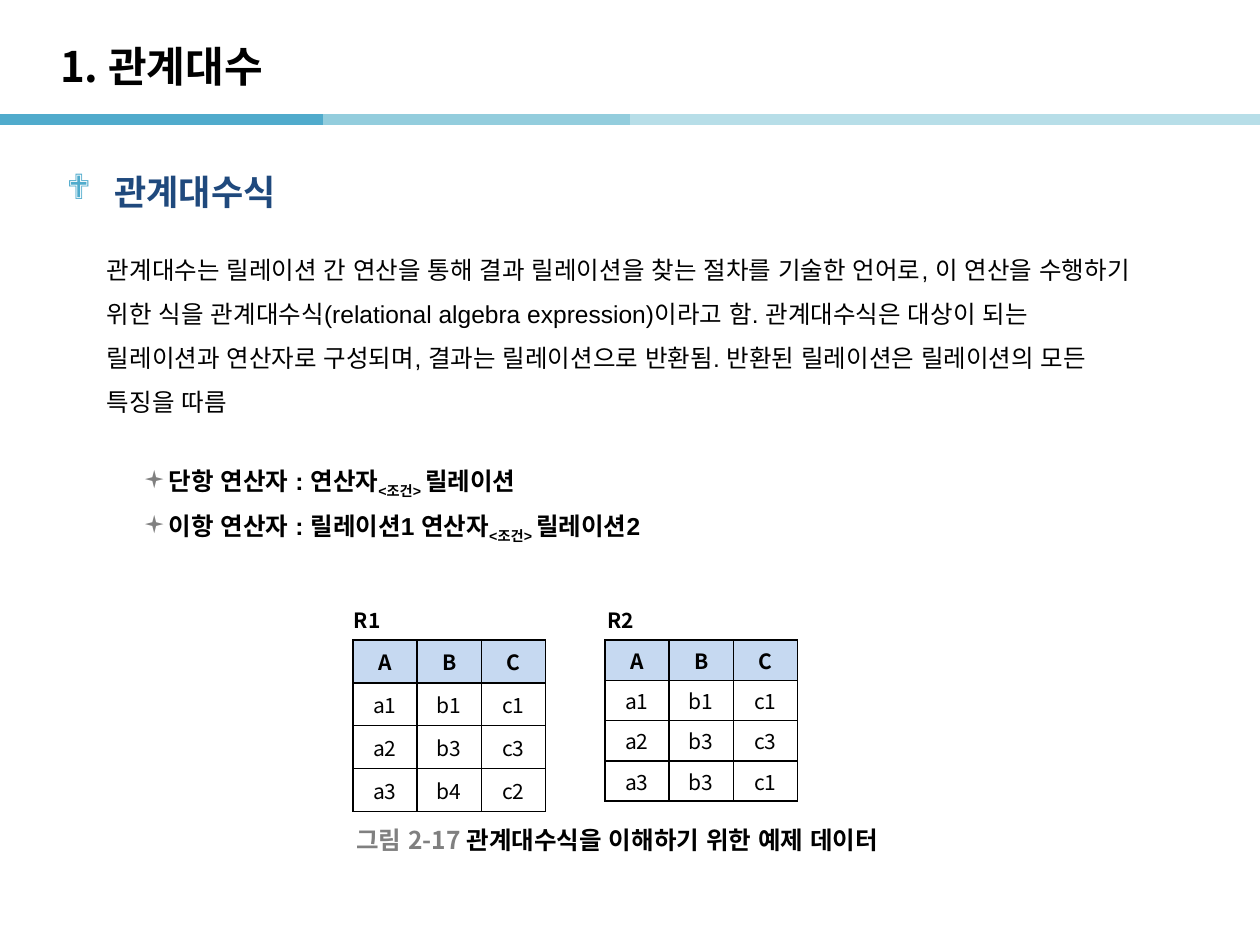
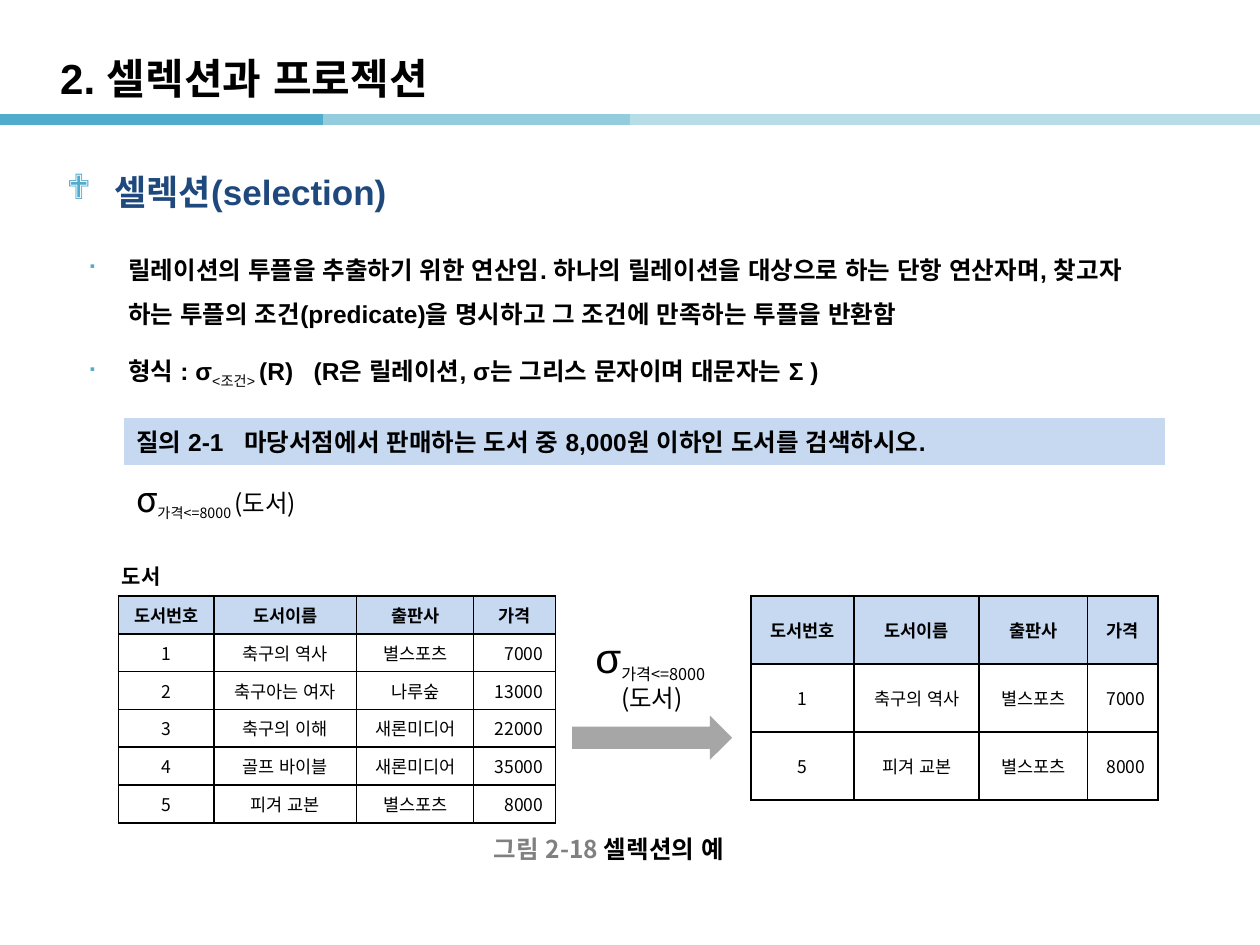
from lxml import etree
from pptx import Presentation
from pptx.dml.color import RGBColor
from pptx.enum import shapes, text
from pptx.oxml import ns
from pptx.util import Inches, Pt

# Shared colours and fonts
BLACK = RGBColor(0, 0, 0)
WHITE = RGBColor(255, 255, 255)
GRAY = RGBColor(0x80, 0x80, 0x80)
ARROW = RGBColor(0xA6, 0xA6, 0xA6)
NAVY = RGBColor(0x1F, 0x49, 0x7D)
HEAD = RGBColor(0xC6, 0xD9, 0xF1)
TEAL = RGBColor(0x50, 0xAB, 0xCC)
AQUA = RGBColor(0x93, 0xCD, 0xDD)
PALE = RGBColor(0xB7, 0xDE, 0xE8)
LATIN = "Arial"
HANGUL = "Noto Sans CJK KR"

MID, RIGHT = text.PP_ALIGN.CENTER, text.PP_ALIGN.RIGHT
CENTER = text.MSO_ANCHOR.MIDDLE


def sub(node, tag, **attrs):
    return etree.SubElement(node, ns.qn(tag), attrs)


def add_run(para, words, size=14, font=LATIN, color=BLACK, bold=False,
            low=False):
    """Add a Korean run without pair kerning; low makes it a subscript."""
    run = para.add_run()
    run.text = words
    face = run.font
    face.size, face.bold, face.name = Pt(size), bold, font
    face.color.rgb = color
    props = run._r.get_or_add_rPr()
    props.set("lang", "ko-KR")
    props.set("kern", "0")
    props.find(ns.qn("a:latin")).addnext(
        etree.Element(ns.qn("a:ea"), typeface=HANGUL))
    if low:
        props.set("baseline", "-25000")


def add_runs(para, parts, **style):
    """Each part is plain words or a pair of words and changed style."""
    for part in parts:
        words, extra = (part, {}) if isinstance(part, str) else part
        if words == "\n":
            para.add_line_break()
        else:
            add_run(para, words, **{**style, **extra})


def set_bullet(para, mark, color, left, hang):
    props = para._p.get_or_add_pPr()
    props.set("marL", str(Inches(left)))
    props.set("indent", str(-Inches(hang)))
    tint = sub(props, "a:buClr")
    sub(tint, "a:srgbClr", val=str(color))
    sub(props, "a:buFont", typeface="Wingdings", charset="2")
    sub(props, "a:buChar", char=mark)


def add_box(slide, at, wrap=True, anchor=text.MSO_ANCHOR.TOP, grow=False):
    box = slide.shapes.add_textbox(*map(Inches, at))
    frame = box.text_frame
    frame.word_wrap, frame.vertical_anchor = wrap, anchor
    frame.auto_size = (text.MSO_AUTO_SIZE.SHAPE_TO_FIT_TEXT if grow
                       else text.MSO_AUTO_SIZE.NONE)
    return frame


# Slide frame: band, title and heading
def add_band(slide):
    for left, color in ((0, TEAL), (2.56, AQUA), (5, PALE), (7.46, PALE)):
        line = slide.shapes.add_connector(
            shapes.MSO_CONNECTOR.STRAIGHT, Inches(left), Inches(0.95),
            Inches(left + 2.56), Inches(0.95))
        line.line.color.rgb, line.line.width = color, Pt(6)
        sub(line._element.spPr, "a:effectLst")


def add_page(deck, title, topic, font=LATIN, space=None):
    slide = deck.slides.add_slide(deck.slide_layouts[6])
    add_band(slide)
    para = add_box(slide, (0.38, 0.22, 8.27, 0.6),
                   anchor=CENTER).paragraphs[0]
    para.line_spacing = space
    add_run(para, title, 24, font, bold=True)
    para = add_box(slide, (0.43, 1.25, 8.82, 0.54),
                   anchor=CENTER).paragraphs[0]
    set_bullet(para, "❖", TEAL, 0.38, 0.38)
    add_run(para, topic, 20, color=NAVY, bold=True)
    return slide


# Captions and table names
def add_name(slide, words, left, top, width):
    frame = add_box(slide, (left, top, width, 0.3), wrap=False, grow=True)
    add_run(frame.paragraphs[0], words, 12, HANGUL, bold=True)


def add_caption(slide, label, words, left, top):
    frame = add_box(slide, (left, top, 2.05, 0.31), wrap=False,
                    anchor=CENTER)
    add_runs(frame.paragraphs[0], [(label, {"color": GRAY}), words],
             font=HANGUL, bold=True)


# Tables
def add_edges(cell):
    props = cell._tc.get_or_add_tcPr()
    for spot, side in enumerate("LRTB"):
        edge = etree.Element(ns.qn(f"a:ln{side}"), w=str(Pt(1)))
        sub(sub(edge, "a:solidFill"), "a:srgbClr", val=str(BLACK))
        props.insert(spot, edge)


def new_table(slide, left, top, cols, heights):
    frame = slide.shapes.add_table(
        len(heights), len(cols), Inches(left), Inches(top),
        Inches(sum(cols)), Inches(sum(heights)))
    table = frame.table
    table.first_row = table.horz_banding = False
    for col, width in zip(table.columns, cols):
        col.width = Inches(width)
    for row, height in zip(table.rows, heights):
        row.height = Inches(height)
    return table


def add_grid(slide, rows, left, top, cols, height, size, pad=0.05):
    """Bordered table with a tinted head row; prices go to the right."""
    table = new_table(slide, left, top, cols, [height] * len(rows))
    for r, row in enumerate(rows):
        for c, words in enumerate(row):
            cell = table.cell(r, c)
            cell.vertical_anchor = CENTER
            cell.margin_top = cell.margin_bottom = Inches(pad)
            para = cell.text_frame.paragraphs[0]
            price = r > 0 and c == 3
            para.alignment = RIGHT if price else MID
            add_run(para, words, size, HANGUL, bold=r == 0)
            if r == 0:
                cell.fill.solid()
                cell.fill.fore_color.rgb = HEAD
            else:
                cell.fill.background()
            add_edges(cell)


def add_query(slide, query, answer):
    table = new_table(slide, 0.98, 3.31, [8.27], [0.38, 0.5])
    for r, (parts, fill) in enumerate(((query, HEAD), (answer, WHITE))):
        cell = table.cell(r, 0)
        cell.fill.solid()
        cell.fill.fore_color.rgb = fill
        add_runs(cell.text_frame.paragraphs[0], parts,
                 font=HANGUL if r else LATIN, bold=r == 0)
    table.cell(0, 0).vertical_anchor = CENTER


def add_arrow(slide):
    arrow = slide.shapes.add_shape(
        shapes.MSO_SHAPE.DOWN_ARROW, Inches(5), Inches(5.22), Inches(0.35),
        Inches(1.27))
    arrow.rotation = 270
    arrow.shadow.inherit = False
    arrow.fill.solid()
    arrow.fill.fore_color.rgb = ARROW
    arrow.line.fill.background()


# Slide 1: relational algebra
def algebra(deck):
    slide = add_page(deck, "1. 관계대수", "관계대수식", font=HANGUL)
    frame = add_box(slide, (0.75, 1.86, 8.45, 2.6))
    para = frame.paragraphs[0]
    para.line_spacing = 1.5
    add_run(para, "관계대수는 릴레이션 간 연산을 통해 결과 릴레이션을 찾는 절차를 "
            "기술한 언어로, 이 연산을 수행하기 위한 식을 관계대수식(relational "
            "algebra expression)이라고 함. 관계대수식은 대상이 되는 릴레이션과 "
            "연산자로 구성되며, 결과는 릴레이션으로 반환됨. 반환된 릴레이션은 "
            "릴레이션의 모든 특징을 따름")
    forms = (("단항 연산자 : 연산자", "릴레이션", 28),
             ("이항 연산자 : 릴레이션1 연산자", "릴레이션2", 2.8))
    for start, end, gap in forms:
        para = frame.add_paragraph()
        set_bullet(para, "▪", GRAY, 0.49, 0.2)
        para.space_before, para.space_after = Pt(gap), Pt(4)
        add_runs(para, [start, ("<조건> ", {"low": True}), end], bold=True)

    shared = ["A B C", "a1 b1 c1", "a2 b3 c3"]
    pairs = (("R1", "a3 b4 c2", 2.8, 2.71, 0.34, 0.05),
             ("R2", "a3 b3 c1", 4.8, 4.72, 0.32, 0.03))
    for name, last, left, tag, height, pad in pairs:
        add_name(slide, name, tag, 4.77, 0.41)
        rows = [row.split() for row in shared + [last]]
        add_grid(slide, rows, left, 5.08, [0.51] * 3, height, 12, pad)
    add_caption(slide, "그림 2-17 ", "관계대수식을 이해하기 위한 예제 데이터",
                2.73, 6.51)


# Slide 2: selection
def select(deck):
    slide = add_page(deck, "2. 셀렉션과 프로젝션", "셀렉션(selection)",
                     space=1.5)
    frame = add_box(slide, (0.59, 1.86, 8.82, 1.4))
    points = (
        ["릴레이션의 투플을 추출하기 위한 연산임. 하나의 릴레이션을 대상으로 하는 "
         "단항 연산자며, 찾고자 하는 투플의 조건(predicate)을 명시하고 그 조건에 "
         "만족하는 투플을 반환함"],
        ["형식 : σ", ("<조건> ", {"bold": False, "low": True}),
         "(R)   (R은 릴레이션, σ는 그리스 문자이며 대문자는 Σ )"])
    for spot, parts in enumerate(points):
        para = frame.add_paragraph() if spot else frame.paragraphs[0]
        set_bullet(para, "■", TEAL, 0.33, 0.33)
        para.line_spacing = 1.5
        para.space_before = Pt(6 * spot)
        add_runs(para, parts, bold=True)

    add_query(slide, ["질의 2-1   마당서점에서 판매하는 도서 중 8,000원 이하인 "
                      "도서를 검색하시오."],
              [("σ", {"size": 20}), ("가격<=8000 ", {"low": True}), "(도서)"])

    head = ("도서번호", "도서이름", "출판사", "가격")
    books = [("1", "축구의 역사", "별스포츠", "7000"),
             ("2", "축구아는 여자", "나루숲", "13000"),
             ("3", "축구의 이해", "새론미디어", "22000"),
             ("4", "골프 바이블", "새론미디어", "35000"),
             ("5", "피겨 교본", "별스포츠", "8000")]
    cheap = [book for book in books if int(book[3]) <= 8000]
    add_name(slide, "도서", 0.87, 4.42, 0.54)
    add_grid(slide, [head] + books, 0.94, 4.73, [0.76, 1.13, 0.93, 0.65],
             0.3, 10)
    add_grid(slide, [head] + cheap, 5.96, 4.73, [0.82, 0.99, 0.86, 0.56],
             0.54, 10)

    add_arrow(slide)
    frame = add_box(slide, (4.53, 4.96, 1.29, 0.74), wrap=False, grow=True)
    para = frame.paragraphs[0]
    para.alignment = MID
    add_runs(para, [("σ", {"size": 24, "font": LATIN}),
                    ("가격<=8000 ", {"size": 16, "low": True}),
                    "\n", "(도서)"], font=HANGUL)
    add_caption(slide, "그림 2-18 ", "셀렉션의 예", 3.82, 6.58)


def main():
    deck = Presentation()
    deck.slide_width, deck.slide_height = Inches(10), Inches(7.5)
    algebra(deck)
    select(deck)
    deck.save("out.pptx")


if __name__ == "__main__":
    main()
